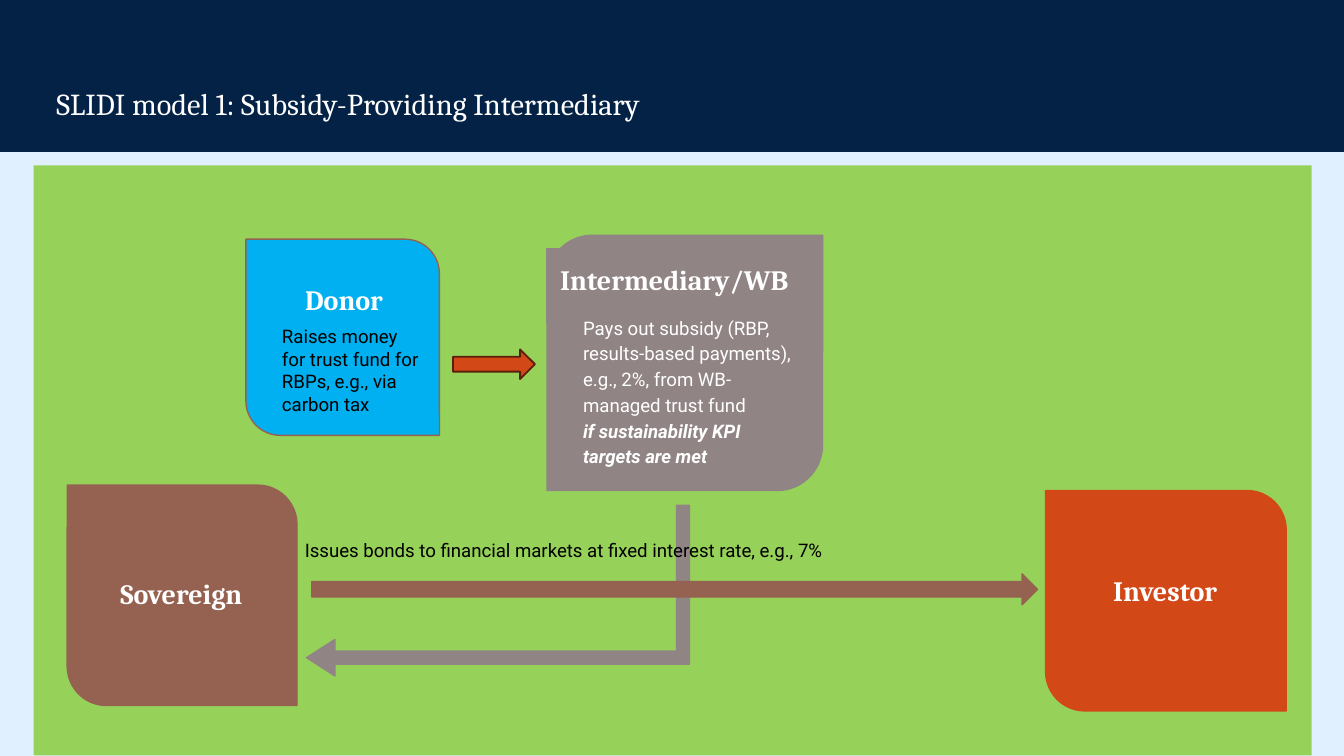
from lxml import etree
from pptx import Presentation
from pptx.dml.color import RGBColor
from pptx.enum import shapes, text
from pptx.oxml.ns import qn
from pptx.util import Inches, Pt

NAVY = RGBColor(0x04, 0x22, 0x45)
PALE_BLUE = RGBColor(0xE0, 0xF0, 0xFF)
GREEN = RGBColor(0x92, 0xD0, 0x50)
GREY = RGBColor(0x91, 0x84, 0x85)
BROWN = RGBColor(0x95, 0x62, 0x51)
DARK_BROWN = RGBColor(0x5C, 0x20, 0x0A)
BLUE = RGBColor(0x00, 0xB0, 0xF0)
ORANGE = RGBColor(0xD3, 0x48, 0x17)
WHITE = RGBColor(0xFF, 0xFF, 0xFF)
BLACK = RGBColor(0x00, 0x00, 0x00)

KIND = shapes.MSO_SHAPE

presentation = Presentation()
presentation.slide_width = Inches(10)
presentation.slide_height = Inches(10 * 9 / 16)  # widescreen
slide = presentation.slides.add_slide(presentation.slide_layouts[5])
slide.background.fill.solid()
slide.background.fill.fore_color.rgb = PALE_BLUE


def add_shape(kind, box, fill, line=None, width=0.75, adjustments=()):
    shape = slide.shapes.add_shape(kind, *map(Inches, box))
    shape.shadow.inherit = False
    shape.fill.solid()
    shape.fill.fore_color.rgb = fill
    if line is None:
        shape.line.fill.background()
    else:
        shape.line.color.rgb = line
        shape.line.width = Pt(width)
    for index, value in enumerate(adjustments):
        shape.adjustments[index] = value
    return shape


def write(shape, lines, font, size, color, align=text.PP_ALIGN.LEFT, inset=0.1, spacing=1.0):
    """Fill the shape with one top-anchored paragraph per line."""
    frame = shape.text_frame
    frame.word_wrap = True
    frame.auto_size = text.MSO_AUTO_SIZE.NONE
    frame.vertical_anchor = text.MSO_ANCHOR.TOP
    frame.margin_left = frame.margin_right = Inches(0.1)
    frame.margin_top = frame.margin_bottom = Inches(inset)
    frame.text = "\n".join(lines)
    for paragraph in frame.paragraphs:
        paragraph.alignment = align
        paragraph.line_spacing = spacing
        paragraph.font.name = font
        paragraph.font.size = Pt(size)
        paragraph.font.color.rgb = color


# Header and background panel
add_shape(KIND.RECTANGLE, (0, 0, 10.01, 1.13), NAVY)
panel = add_shape(KIND.RECTANGLE, (0.25, 1.23, 9.51, 4.39), GREEN)
panel_color = panel.fill._xPr.find(qn("a:solidFill"))[0]
etree.SubElement(panel_color, qn("a:alpha"), val="94000")

title = slide.shapes.title
title.left, title.top, title.width, title.height = map(Inches, (0.32, 0.61, 9.36, 0.53))
write(title, ["SLIDI model 1: Subsidy-Providing Intermediary"], "Cambria", 16.3, WHITE, spacing=0.7)
slide.shapes._spTree.append(title._element)  # in front of the header

# Flows that pass between the parties
subsidy_arrow = add_shape(KIND.BENT_UP_ARROW, (3.07, 2.97, 1.27, 2.85), GREY, GREY,
                          adjustments=(0.076, 0.107, 0.167))
subsidy_arrow.rotation = 270
subsidy_arrow._element.spPr.xfrm.set("flipH", "1")
add_shape(KIND.RIGHT_ARROW, (2.32, 4.27, 5.4, 0.23), BROWN, BROWN)

# Parties: name, card, name box, fill, card line, name box line, alignment
CENTER, LEFT = text.PP_ALIGN.CENTER, text.PP_ALIGN.LEFT
parties = [
    ("Donor", (1.83, 1.78, 1.44, 1.46), (2.02, 2, 1.08, 0.52), BLUE, BROWN, None, CENTER),
    ("Intermediary/WB", (4.07, 1.75, 2.05, 1.9), (4.07, 1.85, 2.05, 0.55), GREY, GREY, GREY, LEFT),
    ("Investor", (7.78, 3.65, 1.79, 1.64), (7.95, 4.17, 1.44, 0.48), ORANGE, ORANGE, ORANGE, CENTER),
    ("Sovereign", (0.5, 3.61, 1.71, 1.64), (0.71, 4.19, 1.28, 0.58), BROWN, BROWN, BROWN, CENTER),
]
for name, card_box, name_box, fill, card_line, name_line, align in parties:
    card = add_shape(KIND.ROUND_2_DIAG_RECTANGLE, card_box, fill, card_line, adjustments=(0, 0.178))
    if name == "Intermediary/WB":
        card.rotation = 180
        card._element.spPr.xfrm.set("flipH", "1")
    label = add_shape(KIND.RECTANGLE, name_box, fill, name_line)
    write(label, [name], "Cambria", 15, WHITE, align)
    label.text_frame.paragraphs[0].font.bold = True

# Descriptions
payout = add_shape(KIND.RECTANGLE, (4.24, 2.23, 1.78, 1.25), GREY, GREY)
write(payout, [
    "Pays out subsidy (RBP, results-based payments), e.g., 2%, from WB-managed trust fund",
    "if sustainability KPI targets are met",
], "Roboto", 10, WHITE, spacing=1.15)
condition = payout.text_frame.paragraphs[1]
condition.font.bold = condition.font.italic = True

descriptions = [
    ("Issues bonds to financial markets at fixed interest rate, e.g., 7%", (2.17, 3.96, 5.34, 0.27)),
    ("Raises money for trust fund for RBPs, e.g., via carbon tax", (2, 2.37, 1.26, 0.77)),
]
for wording, box in descriptions:
    write(slide.shapes.add_textbox(*map(Inches, box)), [wording], "Roboto", 10, BLACK, inset=0.05)

add_shape(KIND.RIGHT_ARROW, (3.37, 2.6, 0.61, 0.22), ORANGE, DARK_BROWN, width=1)

presentation.save("out.pptx")
